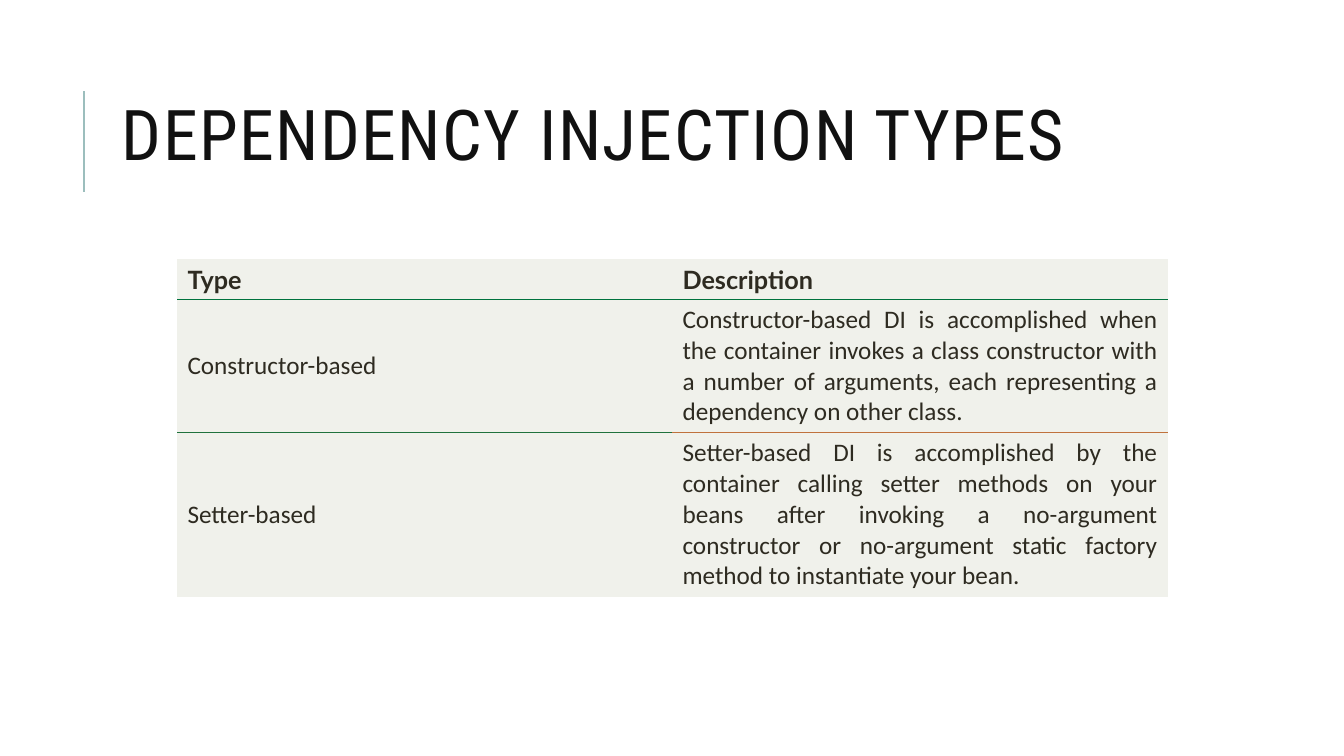
from lxml.etree import SubElement
from pptx import Presentation
from pptx.dml.color import RGBColor
from pptx.enum.shapes import MSO_CONNECTOR
from pptx.enum.text import MSO_ANCHOR, PP_ALIGN
from pptx.oxml import parse_xml
from pptx.oxml.ns import nsdecls, qn
from pptx.util import Inches, Pt

COLORS = {
    "title": "111111", "accent": "9CBEBD", "text": "2E2B21", "cell": "F0F1EB",
    "header_rule": "00723D", "type_rule": "20723D", "description_rule": "C0723D",
}
NO_STYLE = "{2D5ABB26-0587-4C30-8999-92F81FD0307C}"
ROWS = [
    ("Type", "Description"),
    ("Constructor-based",
     "Constructor-based DI is accomplished when the container invokes a class "
     "constructor with a number of arguments, each representing a dependency on "
     "other class."),
    ("Setter-based",
     "Setter-based DI is accomplished by the container calling setter methods on "
     "your beans after invoking a no-argument constructor or no-argument static "
     "factory method to instantiate your bean."),
]
ROW_HEIGHTS = [0.4, 1.32, 1.63]
# Rules under the first and second rows, one colour per column
RULES = [("header_rule", "header_rule"), ("type_rule", "description_rule")]


def set_font(font, name, size, color, bold=False):
    values = {"name": name, "size": Pt(size), "bold": bold}
    for key, value in values.items():
        setattr(font, key, value)
    font.color.rgb = RGBColor.from_string(COLORS[color])


def add_border(cell, side, color):
    """Put a thin rule on the T or B side, ahead of the cell's fill."""
    cell._tc.get_or_add_tcPr().insert(0, parse_xml(
        f'<a:ln{side} {nsdecls("a")} w="9525"><a:solidFill>'
        f'<a:srgbClr val="{COLORS[color]}"/></a:solidFill></a:ln{side}>'))


deck = Presentation()
deck.slide_width, deck.slide_height = Inches(13.33), Inches(7.5)
page = deck.slides.add_slide(deck.slide_layouts[5])

accent = page.shapes.add_connector(
    MSO_CONNECTOR.STRAIGHT, Inches(0.83), Inches(1.9), Inches(0.83), Inches(0.9))
accent.line.color.rgb = RGBColor.from_string(COLORS["accent"])
accent.line.width = Pt(1.5)
SubElement(accent._element.spPr, qn("a:effectLst"))

title = page.shapes.title
title.left, title.top = Inches(1.11), Inches(0.93)
title.width, title.height = Inches(10.63), Inches(1.64)
frame = title.text_frame
frame.word_wrap = True
frame.vertical_anchor = MSO_ANCHOR.TOP
frame.margin_top = Inches(0.13)
para = frame.paragraphs[0]
para.alignment = PP_ALIGN.LEFT
para.line_spacing = 0.8
span = para.add_run()
span.text = "DEPENDENCY INJECTION TYPES"
set_font(span.font, "Roboto Condensed", 50, "title")
span.font._element.set("spc", "100")

table_frame = page.shapes.add_table(
    len(ROWS), 2, Inches(1.76), Inches(2.57), Inches(9.82), Inches(sum(ROW_HEIGHTS)))
table = table_frame.table
table.horz_banding = False
table._tbl.tblPr.find(qn("a:tableStyleId")).text = NO_STYLE
for column in table.columns:
    column.width = Inches(4.91)

for row_index, texts in enumerate(ROWS):
    table.rows[row_index].height = Inches(ROW_HEIGHTS[row_index])
    is_header = row_index == 0
    for column_index, text in enumerate(texts):
        cell = table.cell(row_index, column_index)
        cell.fill.solid()
        cell.fill.fore_color.rgb = RGBColor.from_string(COLORS["cell"])
        cell.vertical_anchor = MSO_ANCHOR.MIDDLE
        para = cell.text_frame.paragraphs[0]
        para.alignment = PP_ALIGN.JUSTIFY
        span = para.add_run()
        span.text = text
        set_font(span.font, "Lato" if is_header else "Calibri", 18, "text", is_header)
        if row_index < len(RULES):
            add_border(cell, "B", RULES[row_index][column_index])
        if not is_header:
            add_border(cell, "T", RULES[row_index - 1][column_index])

deck.save("out.pptx")
